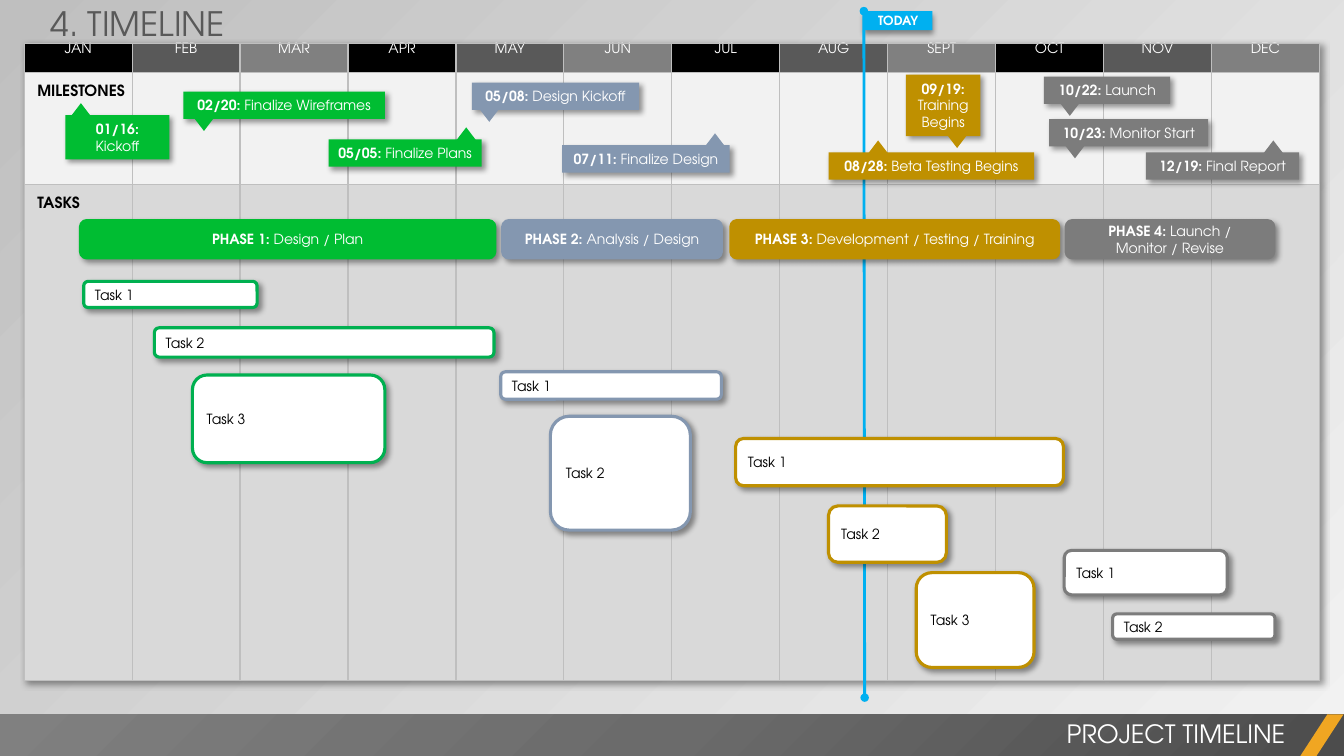
import pptx
import pptx.dml.color
import pptx.enum.shapes
import pptx.enum.text
import pptx.oxml
import pptx.oxml.ns
import pptx.util
from pptx.util import Cm

FONT = "TeX Gyre Adventor"
BLACK, WHITE, TODAY_BLUE = "000000", "FFFFFF", "00B0F0"
GREEN, TASK_GREEN, BLUE, GOLD, GREY = "00BD32", "00B050", "8497B0", "BF9000", "7C7C7C"
LEFT, CENTER, RIGHT = (pptx.enum.text.PP_ALIGN.LEFT, pptx.enum.text.PP_ALIGN.CENTER,
                       pptx.enum.text.PP_ALIGN.RIGHT)
PRESET = pptx.enum.shapes.MSO_SHAPE
MIDDLE = pptx.enum.text.MSO_ANCHOR.MIDDLE

MONTHS = ["JAN", "FEB", "MAR", "APR", "MAY", "JUN", "JUL", "AUG", "SEPT", "OCT", "NOV", "DEC"]
MONTH_FILLS = [BLACK, "595959", "808080"]

PHASES = [
    ("PHASE 1: ", "Design / Plan", GREEN, 2.03, 10.44),
    ("PHASE 2: ", "Analysis / Design", BLUE, 12.67, 5.51),
    ("PHASE 3: ", "Development / Testing / Training", GOLD, 18.42, 8.26),
    ("PHASE 4: ", "Launch / Monitor / Revise", GREY, 26.87, 5.23),
]
MILESTONES = [
    ([[("05/05: ", True), ("Finalize Plans", False)]], GREEN, (8.28, 3.51, 3.86, 0.69), 11.46, True),
    ([[("01/16:", True)], [("Kickoff", False)]], GREEN, (1.65, 2.9, 2.62, 1.12), 1.75, True),
    ([[("02/20: ", True), ("Finalize Wireframes", False)]], GREEN, (4.62, 2.31, 5.08, 0.69), 4.85, False),
    ([[("05/08: ", True), ("Design Kickoff", False)]], BLUE, (11.89, 2.08, 4.22, 0.69), 12.04, False),
    ([[("07/11: ", True), ("Finalize Design", False)]], BLUE, (14.17, 3.66, 4.22, 0.69), 17.73, True),
    ([[("09/19: ", True), ("Training Begins", False)]], GOLD, (22.83, 1.88, 1.88, 1.55), 23.83, False),
    ([[("08/28: ", True), ("Beta Testing Begins", False)]], GOLD, (20.88, 3.84, 5.18, 0.69), 21.84, True),
    ([[("10/22: ", True), ("Launch", False)]], GREY, (26.31, 1.93, 3.18, 0.69), 26.67, False),
    ([[("10/23: ", True), ("Monitor Start", False)]], GREY, (26.44, 3.0, 4.01, 0.69), 26.8, False),
    ([[("12/19: ", True), ("Final Report", False)]], GREY, (28.88, 3.84, 3.86, 0.69), 31.8, True),
]
TASKS = [
    ("Task 1", TASK_GREEN, (2.11, 7.09, 4.37, 0.66)),
    ("Task 2", TASK_GREEN, (3.89, 8.26, 8.56, 0.74)),
    ("Task 3", TASK_GREEN, (4.85, 9.45, 4.85, 2.21)),
    ("Task 1", BLUE, (12.62, 9.37, 5.56, 0.69)),
    ("Task 2", BLUE, (13.87, 10.49, 3.53, 2.87)),
    ("Task 1", GOLD, (18.54, 11.05, 8.26, 1.19)),
    ("Task 2", GOLD, (20.88, 12.75, 2.97, 1.42)),
    ("Task 3", GOLD, (23.09, 14.43, 2.97, 2.39)),
    ("Task 1", GREY, (26.82, 13.87, 4.11, 1.12)),
    ("Task 2", GREY, (28.04, 15.47, 4.09, 0.64)),
]


def rgb(value):
    return pptx.dml.color.RGBColor.from_string(value)


def xml(tag, attributes="", inner=""):
    return pptx.oxml.parse_xml(
        f'<a:{tag} {pptx.oxml.ns.nsdecls("a")} {attributes}>{inner}</a:{tag}>')


def shadow_effect(angle):
    return xml("effectLst", inner=(
        f'<a:outerShdw blurRad="50800" dist="38100" dir="{angle * 60000}" algn="tl" rotWithShape="0">'
        '<a:srgbClr val="000000"><a:alpha val="40000"/></a:srgbClr></a:outerShdw>'))


def write(frame, paragraphs, size, color, align):
    for index, pieces in enumerate(paragraphs):
        paragraph = frame.paragraphs[0] if index == 0 else frame.add_paragraph()
        paragraph.alignment = align
        for text, bold in pieces:
            run = paragraph.add_run()
            run.text = text
            run.font.name = FONT
            run.font.size = pptx.util.Pt(size)
            run.font.bold = bold
            run.font.color.rgb = rgb(color)


def add_block(shapes, preset, box, fill, outline=None, shadow_angle=None):
    block = shapes.add_shape(preset, *map(Cm, box))
    block.shadow.inherit = False
    block.fill.solid()
    block.fill.fore_color.rgb = rgb(fill)
    if outline:
        block.line.color.rgb = rgb(outline)
        block.line.width = pptx.util.Pt(2.25)
    else:
        block.line.fill.background()
    if shadow_angle is not None:
        properties = block._element.spPr
        properties.replace(properties.find(pptx.oxml.ns.qn("a:effectLst")), shadow_effect(shadow_angle))
    block.text_frame.word_wrap = True
    block.text_frame.vertical_anchor = MIDDLE
    return block


def add_label(slide, text, box, size, color, align=LEFT, bold=False):
    frame = slide.shapes.add_textbox(*map(Cm, box)).text_frame
    frame.word_wrap = True
    write(frame, [[(text, bold)]], size, color, align)


def add_milestone(slide, paragraphs, color, box, pointer_left, points_up):
    shapes = slide.shapes.add_group_shape().shapes
    frame = add_block(shapes, PRESET.RECTANGLE, box, color, shadow_angle=45).text_frame
    frame.margin_left = frame.margin_right = frame.margin_top = frame.margin_bottom = Cm(0.13)
    write(frame, paragraphs, 10, WHITE, CENTER)
    top, height = box[1], box[3]
    pointer_top = top - 0.3 if points_up else top + height - 0.08
    pointer = add_block(shapes, PRESET.ISOSCELES_TRIANGLE, (pointer_left, pointer_top, 0.58, 0.38), color)
    pointer.rotation = 0 if points_up else 180


def add_calendar(slide):
    frame = slide.shapes.add_table(3, len(MONTHS), Cm(0.61), Cm(1.09), Cm(32.64), Cm(16.06))
    calendar = frame.table
    calendar._tbl.tblPr.insert(0, shadow_effect(45))
    for row, height in zip(calendar.rows, (0.74, 2.82, 12.5)):
        row.height = Cm(height)
    for column, month in enumerate(MONTHS):
        calendar.columns[column].width = Cm(2.72)
        fills = (MONTH_FILLS[column % 3], "F2F2F2", "D9D9D9")
        for row, fill in enumerate(fills):
            cell = calendar.cell(row, column)
            cell.margin_top = cell.margin_bottom = 0
            if row == 0:
                write(cell.text_frame, [[(month, False)]], 10, WHITE, CENTER)
            for side in ("lnL", "lnR", "lnT", "lnB"):
                cell._tc.get_or_add_tcPr().append(xml(
                    side, 'w="12700"', '<a:solidFill><a:srgbClr val="BFBFBF"/></a:solidFill>'))
            cell.fill.solid()
            cell.fill.fore_color.rgb = rgb(fill)


def add_today(slide):
    shapes = slide.shapes.add_group_shape().shapes
    flag = add_block(shapes, PRESET.RECTANGLE, (21.77, 0.28, 1.73, 0.48), TODAY_BLUE, shadow_angle=90)
    write(flag.text_frame, [[("TODAY", True)]], 9, WHITE, CENTER)
    marker = shapes.add_connector(pptx.enum.shapes.MSO_CONNECTOR.STRAIGHT,
                                  Cm(21.77), Cm(0.28), Cm(21.79), Cm(17.58))
    marker.line.color.rgb = rgb(TODAY_BLUE)
    marker.line.width = pptx.util.Pt(2)
    for end in ("headEnd", "tailEnd"):
        marker.line._get_or_add_ln().append(xml(end, 'type="oval"'))
    marker._element.spPr.append(xml("effectLst"))


def add_footer(slide):
    band = add_block(slide.shapes, PRESET.RECTANGLE, (0, 18, 33.87, 1.05), "6B6B6B")
    stops = "".join(f'<a:gs pos="{position}"><a:srgbClr val="{color}"/></a:gs>' for position, color in
                    ((0, "4C4C4C"), (50000, "6B6B6B"), (100000, "808080")))
    properties = band._element.spPr
    properties.replace(properties.find(pptx.oxml.ns.qn("a:solidFill")), xml(
        "gradFill", 'rotWithShape="1"', f'<a:gsLst>{stops}</a:gsLst>'
        '<a:path path="circle"><a:fillToRect l="100000" t="100000"/></a:path>'))
    accent = add_block(slide.shapes, PRESET.PARALLELOGRAM, (32.77, 18, 1.09, 1.05), "F0A622")
    accent.adjustments[0] = 0.65
    add_label(slide, "PROJECT TIMELINE", (13.34, 17.98, 19.3, 1.02), 18, WHITE, RIGHT)


def format_title(slide):
    title = slide.shapes.title
    title.left, title.top, title.width, title.height = map(Cm, (1.02, -0.05, 4.93, 1.27))
    frame = title.text_frame
    frame.word_wrap = False
    frame.auto_size = pptx.enum.text.MSO_AUTO_SIZE.NONE
    frame.vertical_anchor = pptx.enum.text.MSO_ANCHOR.TOP
    write(frame, [[("4. TIMELINE", False)]], 24, "595959", LEFT)


def paint_background(slide):
    fill = slide.background.fill
    fill.gradient()
    fill.gradient_angle = 135
    for stop, color in zip(fill.gradient_stops, ("F2F2F2", "BFBFBF")):
        stop.color.rgb = rgb(color)


def main():
    deck = pptx.Presentation()
    deck.slide_width, deck.slide_height = Cm(33.87), Cm(19.05)
    slide = deck.slides.add_slide(deck.slide_layouts[5])
    paint_background(slide)
    format_title(slide)
    add_footer(slide)
    add_calendar(slide)
    add_today(slide)
    for name, work, color, left, width in PHASES:
        phase = add_block(slide.shapes, PRESET.ROUNDED_RECTANGLE, (left, 5.56, width, 0.94), color, color, 45)
        write(phase.text_frame, [[(name, True), (work, False)]], 10, WHITE, CENTER)
    for heading, top in (("MILESTONES", 1.91), ("TASKS", 4.75)):
        add_label(slide, heading, (0.69, top, 3.38, 0.74), 11, BLACK, bold=True)
    for milestone in MILESTONES:
        add_milestone(slide, *milestone)
    for name, color, box in TASKS:
        task = add_block(slide.shapes, PRESET.ROUNDED_RECTANGLE, box, WHITE, color, 45)
        write(task.text_frame, [[(name, False)]], 10, BLACK, LEFT)
    deck.save("out.pptx")


if __name__ == "__main__":
    main()
